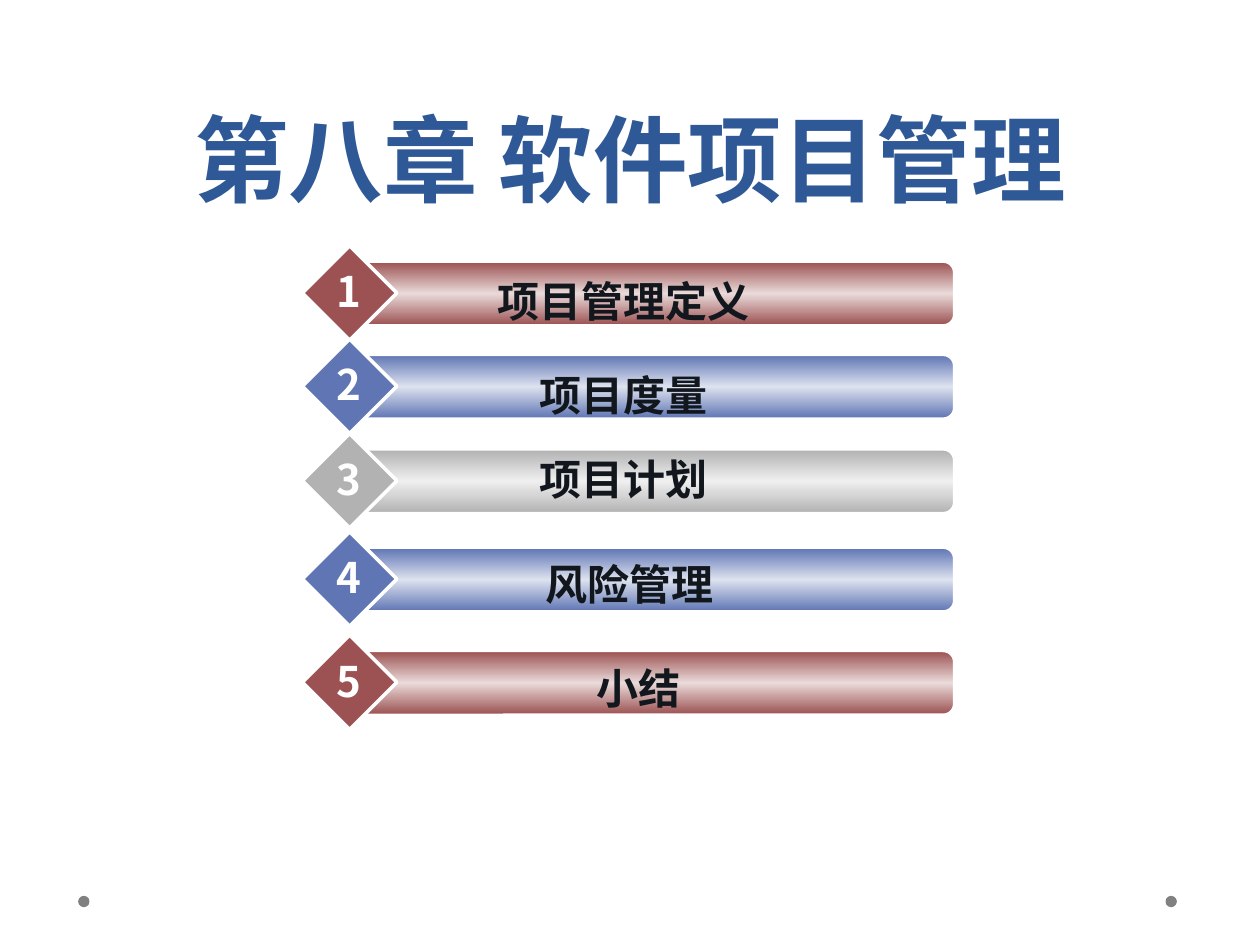
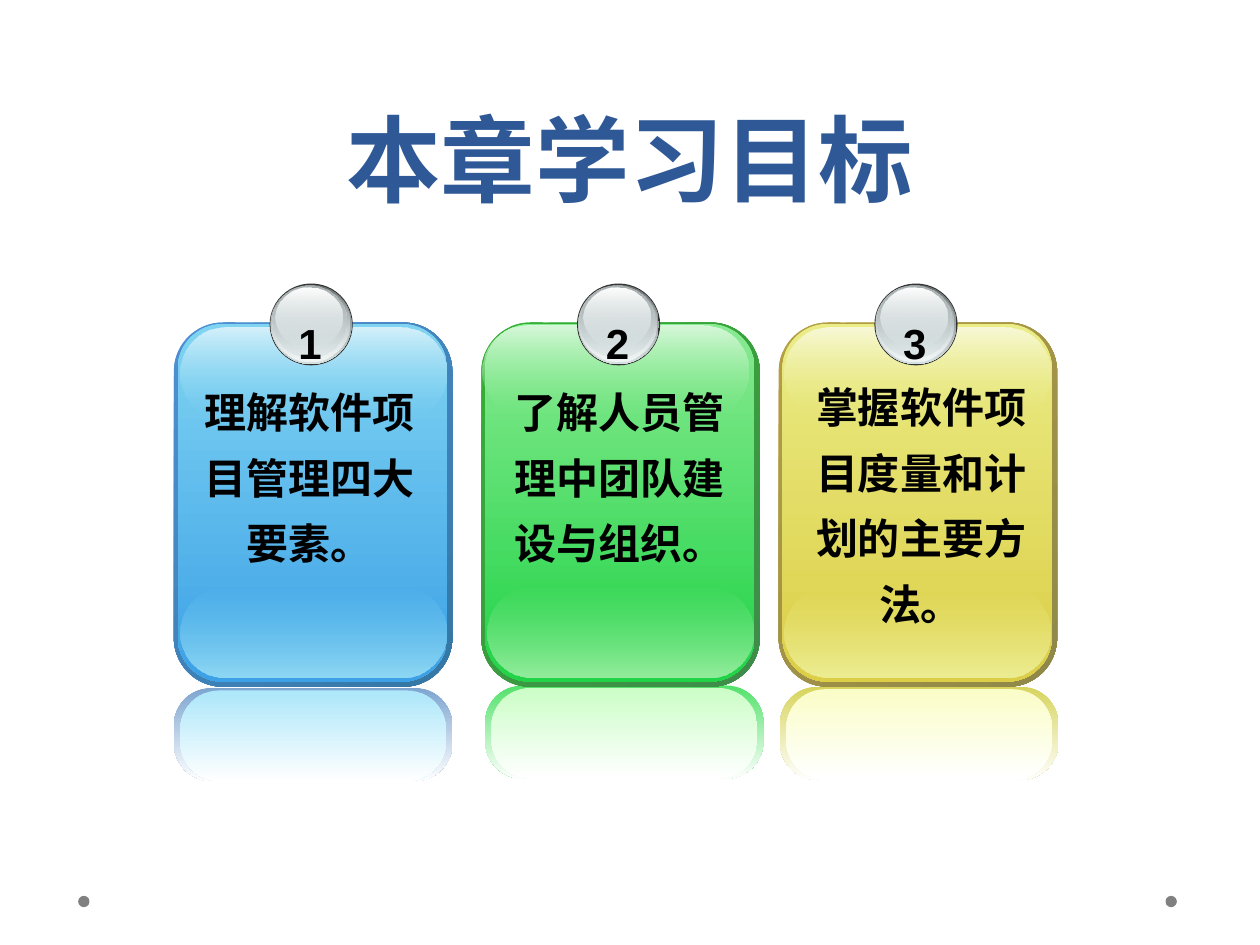
from lxml.etree import SubElement
from pptx import Presentation
from pptx.dml.color import RGBColor
from pptx.enum.shapes import MSO_SHAPE as Kind
from pptx.enum.text import MSO_ANCHOR as Anchor, MSO_AUTO_SIZE as Fit, PP_ALIGN as Align
from pptx.oxml.ns import qn
from pptx.util import Inches, Pt

deck = Presentation()
deck.slide_width, deck.slide_height = Inches(10), Inches(7.5)
COLUMN = deck.slide_width / 10
ROW = deck.slide_height / 7.5

color = RGBColor.from_string
WHITE, BLACK, INK, NAVY, GREY = "FFFFFF", "000000", "11171D", "2F5897", "808080"
RED = ("9C5252", "EADADA", "9C5252")
BLUE = ("6076B4", "DDE2EF", "6076B4")
SILVER = ("B2B2B2", "EFEFEF", "B2B2B2")
CJK = "Noto Sans CJK SC"
HEADING = {"name": "Lato", "size": Pt(54), "bold": True}
BODY = {"name": CJK, "size": Pt(24), "bold": True}
TITLE_PARA = {"line_spacing": Pt(58)}
BADGE_PARA = {"line_spacing": 1.3}
GOAL_PARA = {"line_spacing": 1.3, "space_before": Pt(6)}


def add_figure(page, kind, left, top, width, height, stops, radius=None, line=0, angle=90):
    figure = page.shapes.add_shape(
        kind, int(left * COLUMN), int(top * ROW), int(width * COLUMN), int(height * ROW))
    figure.shadow.inherit = False
    if radius is not None:
        figure.adjustments[0] = radius
    if line:
        figure.line.color.rgb = color(WHITE)
        figure.line.width = Pt(line)
    else:
        figure.line.fill.background()
    if len(stops) == 1:
        figure.fill.solid()
        figure.fill.fore_color.rgb = color(stops[0])
        return
    figure.fill.gradient()
    figure.fill.gradient_angle = 360 - angle
    stop_list = figure._element.spPr.find(qn("a:gradFill")).find(qn("a:gsLst"))
    stop_list.clear()
    for index, stop in enumerate(stops):
        tone, _, opacity = stop.partition("@")
        place = SubElement(stop_list, qn("a:gs"), pos=str(index * 100000 // (len(stops) - 1)))
        tint = SubElement(place, qn("a:srgbClr"), val=tone)
        if opacity:
            SubElement(tint, qn("a:alpha"), val=str(int(opacity) * 1000))


def add_text(page, left, top, width, height, text, tone, font, layout, frame):
    box = page.shapes.add_textbox(
        int(left * COLUMN), int(top * ROW), int(width * COLUMN), int(height * ROW))
    para = box.text_frame.paragraphs[0]
    span = para.add_run()
    span.text = text
    span.font.color.rgb = color(tone)
    for target, values in (
        (box.text_frame, {"word_wrap": True, **frame}),
        (para, {"alignment": Align.CENTER, **layout}),
        (span.font, font),
    ):
        for name, value in values.items():
            setattr(target, name, value)
    SubElement(span._r.get_or_add_rPr(), qn("a:ea"), typeface=CJK)


GROW = {"auto_size": Fit.SHAPE_TO_FIT_TEXT}
TIGHT = {"word_wrap": False, **GROW}

pages = []
for title in ("第八章 软件项目管理", "本章学习目标"):
    page = deck.slides.add_slide(deck.slide_layouts[6])
    for left in (9.25, 0.62):
        add_figure(page, Kind.OVAL, left, 7.11, 0.09, 0.09, (GREY,))
    add_text(page, 0.5, 0, 9, 1.75, title, NAVY, HEADING, TITLE_PARA,
             {"vertical_anchor": Anchor.BOTTOM})
    pages.append(page)
agenda_page, goals_page = pages

agenda = (
    ("项目管理定义", RED, 2.08, 3.07, 2.14, 3.75),
    ("项目度量", BLUE, 2.82, 3.07, 2.88, 3.75),
    ("项目计划", SILVER, 3.57, 3.30, 3.55, 3.29),
    ("风险管理", BLUE, 4.35, 3.12, 4.38, 3.75),
    ("小结", RED, 5.17, 2.82, 5.21, 4.49),
)
for number, (topic, stops, top, text_left, text_top, text_width) in enumerate(agenda, 1):
    add_figure(agenda_page, Kind.ROUNDED_RECTANGLE, 2.82, top, 4.75, 0.5, stops, 0.167, 1)
    add_figure(agenda_page, Kind.DIAMOND, 2.4, top - 0.13, 0.75, 0.75, stops[:1], line=2)
    add_text(agenda_page, text_left, text_top, text_width, 0.5, topic, INK, BODY, {}, GROW)
    add_text(agenda_page, 2.57, top - 0.02, 0.39, 0.5, str(number), WHITE, BODY, {}, TIGHT)

goals = (
    {"text": "理解软件项目管理四大要素。", "left": 1.38, "text_at": (1.41, 2.9, 2.1, 1.66),
     "font": CJK, "edge": ("4E91D4", "3477A4"), "face": ("80D4F2", "3CA1E6"),
     "foot": "8FD9F4", "gloss": "D5F1FB", "gloss_at": (1.43, 2.6),
     "mirror": ("7EA5D0", "ACE7FA"), "mirror_at": (1.38, 5.46)},
    {"text": "了解人员管理中团队建设与组织。", "left": 3.82, "text_at": (3.91, 2.9, 2.02, 1.66),
     "font": CJK, "edge": ("34B034", "3F8B4A"), "face": ("88EA91", "21D347"),
     "foot": "96ED9E", "gloss": "D7F8DA", "gloss_at": (3.83, 2.58),
     "mirror": ("52E26A", "CBFDC7"), "mirror_at": (3.85, 5.44)},
    {"text": "掌握软件项目度量和计划的主要方法。", "left": 6.18, "text_at": (6.26, 2.86, 2.1, 2.18),
     "font": "Times New Roman", "edge": ("B59F43", "8F8849"), "face": ("EAEC86", "DCCE46"),
     "foot": "EDEE95", "gloss": "F8F9D7", "gloss_at": (6.23, 2.6),
     "mirror": ("D7D45D", "FAFDC7"), "mirror_at": (6.19, 5.45)},
)
badge_layers = (
    (0.76, 2.25, 0.66, 0.65, ("333333",)),
    (0.77, 2.26, 0.64, 0.63, ("636869", "D6E1E2")),
    (0.77, 2.26, 0.62, 0.61, ("D6E1E2@0", "F1F5F5")),
    (0.78, 2.27, 0.59, 0.57, ("AAB2B3", "D6E1E2@48")),
    (0.81, 2.28, 0.53, 0.47, (WHITE, "D6E1E2@38")),
)
for number, goal in enumerate(goals, 1):
    left, clear = goal["left"], goal["face"][0] + "@0"
    mirror_left, mirror_top = goal["mirror_at"]
    outer, inner = goal["mirror"]
    panels = (
        (mirror_left, mirror_top, 2.21, 0.74, (outer, WHITE), 0.404, 90),
        (left, 2.56, 2.21, 2.89, goal["edge"], 0.176, 45),
        (left + 0.03, 2.57, 2.14, 2.84, goal["face"], 0.167, 90),
        (left + 0.05, 4.66, 2.11, 0.72, (clear, goal["foot"]), 0.5, 90),
        (*goal["gloss_at"], 2.11, 0.72, (goal["gloss"], clear), 0.5, 90),
        (mirror_left + 0.05, mirror_top + 0.02, 2.11, 0.72, (inner, WHITE), 0.429, 90),
    )
    for *place, stops, radius, angle in panels:
        add_figure(goals_page, Kind.ROUNDED_RECTANGLE, *place, stops, radius, angle=angle)
    for shift, *place, stops in badge_layers:
        add_figure(goals_page, Kind.OVAL, left + shift, *place, stops)
    add_text(goals_page, left + 0.89, 2.35, 0.38, 0.62, str(number), BLACK,
             {**BODY, "name": "Arial"}, BADGE_PARA, TIGHT)
    add_text(goals_page, *goal["text_at"], goal["text"], BLACK,
             {**BODY, "name": goal["font"]}, GOAL_PARA, GROW)

deck.save("out.pptx")
